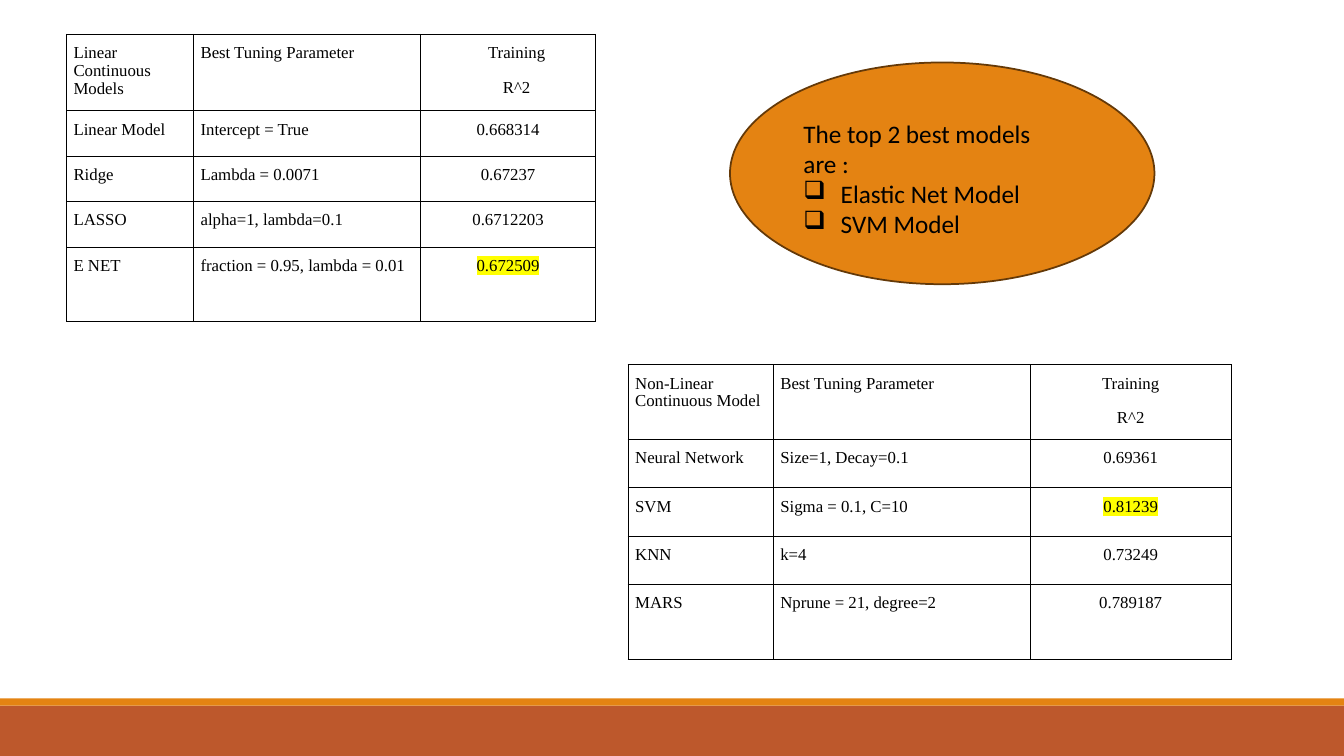
from dataclasses import dataclass

from lxml import etree
from pptx import Presentation
from pptx.dml.color import RGBColor
from pptx.enum.shapes import MSO_SHAPE
from pptx.enum.text import PP_ALIGN
from pptx.oxml.ns import qn
from pptx.util import Inches, Pt

RECT, OVAL = MSO_SHAPE.RECTANGLE, MSO_SHAPE.OVAL
LEFT, CENTER = PP_ALIGN.LEFT, PP_ALIGN.CENTER

LINEAR = {
    "at": (0.66, 0.34),
    "cols": (1.26, 2.25, 1.74),
    "rows": (0.76, 0.45, 0.45, 0.45, 0.74),
    "shift": 0.17,
    "best": "0.672509",
    "cells": [
        ("Linear Continuous Models", "Best Tuning Parameter", "Training\nR^2"),
        ("Linear Model", "Intercept = True", "0.668314"),
        ("Ridge", "Lambda = 0.0071", "0.67237"),
        ("LASSO", "alpha=1, lambda=0.1", "0.6712203"),
        ("E NET", "fraction = 0.95, lambda = 0.01", "0.672509"),
    ],
}
CURVED = {
    "at": (6.23, 3.62),
    "cols": (1.44, 2.55, 1.99),
    "rows": (0.74, 0.48, 0.48, 0.48, 0.74),
    "shift": 0,
    "best": "0.81239",
    "cells": [
        ("Non-Linear Continuous Model", "Best Tuning Parameter", "Training\nR^2"),
        ("Neural Network", "Size=1, Decay=0.1", "0.69361"),
        ("SVM", "Sigma = 0.1, C=10", "0.81239"),
        ("KNN", "k=4", "0.73249"),
        ("MARS", "Nprune = 21, degree=2", "0.789187"),
    ],
}
VERDICT = "The top 2 best models are :"
WINNERS = ["Elastic Net Model", "SVM Model"]


@dataclass(frozen=True)
class Theme:
    rust: str = "BD582C"
    orange: str = "E48312"
    brown: str = "643908"
    black: str = "000000"
    yellow: str = "FFFF00"
    serif: str = "Times New Roman"
    sans: str = "Calibri"
    small: int = 12
    large: int = 18


THEME = Theme()


def color(code):
    return RGBColor.from_string(code)


def style(para, face, size):
    for run in para.runs:
        run.font.name = face
        run.font.size = Pt(size)
        run.font.color.rgb = color(THEME.black)


def add_color(parent, code):
    etree.SubElement(parent, qn("a:srgbClr"), val=code)


def mark(run):
    """Highlight a run that already has its font colour."""
    glow = etree.Element(qn("a:highlight"))
    add_color(glow, THEME.yellow)
    run.font.fill  # the colour comes before the highlight in the schema
    run.font._element.find(qn("a:solidFill")).addnext(glow)


def frame(cell):
    """Draw a thin border on all four sides of a cell."""
    props = cell._tc.get_or_add_tcPr()
    for spot, side in enumerate(("lnL", "lnR", "lnT", "lnB")):
        line = etree.Element(qn(f"a:{side}"), w=str(Pt(0.75)))
        add_color(etree.SubElement(line, qn("a:solidFill")), THEME.black)
        props.insert(spot, line)


def add_cell(cell, text, align, shift, best):
    cell.fill.background()
    frame(cell)
    cell.margin_left = Inches(0.07 + shift)
    cell.margin_right = Inches(0.07)
    cell.margin_top = cell.margin_bottom = Inches(0.1)
    cell.text_frame.text = text
    for para in cell.text_frame.paragraphs:
        para.alignment = align
        para.space_before = Pt(12)
        para.line_spacing = 0.95
        style(para, THEME.serif, THEME.small)
        if text == best:
            mark(para.runs[0])


def add_grid(slide, data):
    cols, rows = data["cols"], data["rows"]
    box = (*data["at"], sum(cols), sum(rows))
    table = slide.shapes.add_table(len(rows), len(cols), *map(Inches, box)).table
    table.first_row = table.horz_banding = False
    for col, width in zip(table.columns, cols):
        col.width = Inches(width)
    for row, height in zip(table.rows, rows):
        row.height = Inches(height)
    last = len(cols) - 1
    for r, line in enumerate(data["cells"]):
        for c, text in enumerate(line):
            align = CENTER if c == last else LEFT
            shift = data["shift"] if r == 0 and c == last else 0
            add_cell(table.cell(r, c), text, align, shift, data["best"])


def add_form(slide, kind, box, fill, edge=None):
    form = slide.shapes.add_shape(kind, *map(Inches, box))
    form.shadow.inherit = False
    form.fill.solid()
    form.fill.fore_color.rgb = color(fill)
    if edge:
        form.line.color.rgb = color(edge)
        form.line.width = Pt(1.25)
    else:
        form.line.fill.background()


def add_verdict(slide):
    box = slide.shapes.add_textbox(*map(Inches, (7.87, 1.12, 2.78, 1.31)))
    body = box.text_frame
    body.word_wrap = True
    body.text = "\n".join([VERDICT, *WINNERS])
    for para in body.paragraphs:
        style(para, THEME.sans, THEME.large)
    for para in body.paragraphs[1:]:
        props = para._p.get_or_add_pPr()
        props.set("marL", str(Inches(0.37)))
        props.set("indent", str(-Inches(0.37)))
        etree.SubElement(props, qn("a:buChar"), char="❑")


def main():
    deck = Presentation()
    deck.slide_width, deck.slide_height = Inches(13.33), Inches(7.5)
    slide = deck.slides.add_slide(deck.slide_layouts[6])
    add_form(slide, RECT, (0, 7, 13.33, 0.5), THEME.rust)
    add_form(slide, RECT, (0, 6.93, 13.33, 0.07), THEME.orange)
    for data in (LINEAR, CURVED):
        add_grid(slide, data)
    add_form(slide, OVAL, (7.24, 0.62, 4.21, 2.2), THEME.orange, THEME.brown)
    add_verdict(slide)
    deck.save("out.pptx")


if __name__ == "__main__":
    main()
